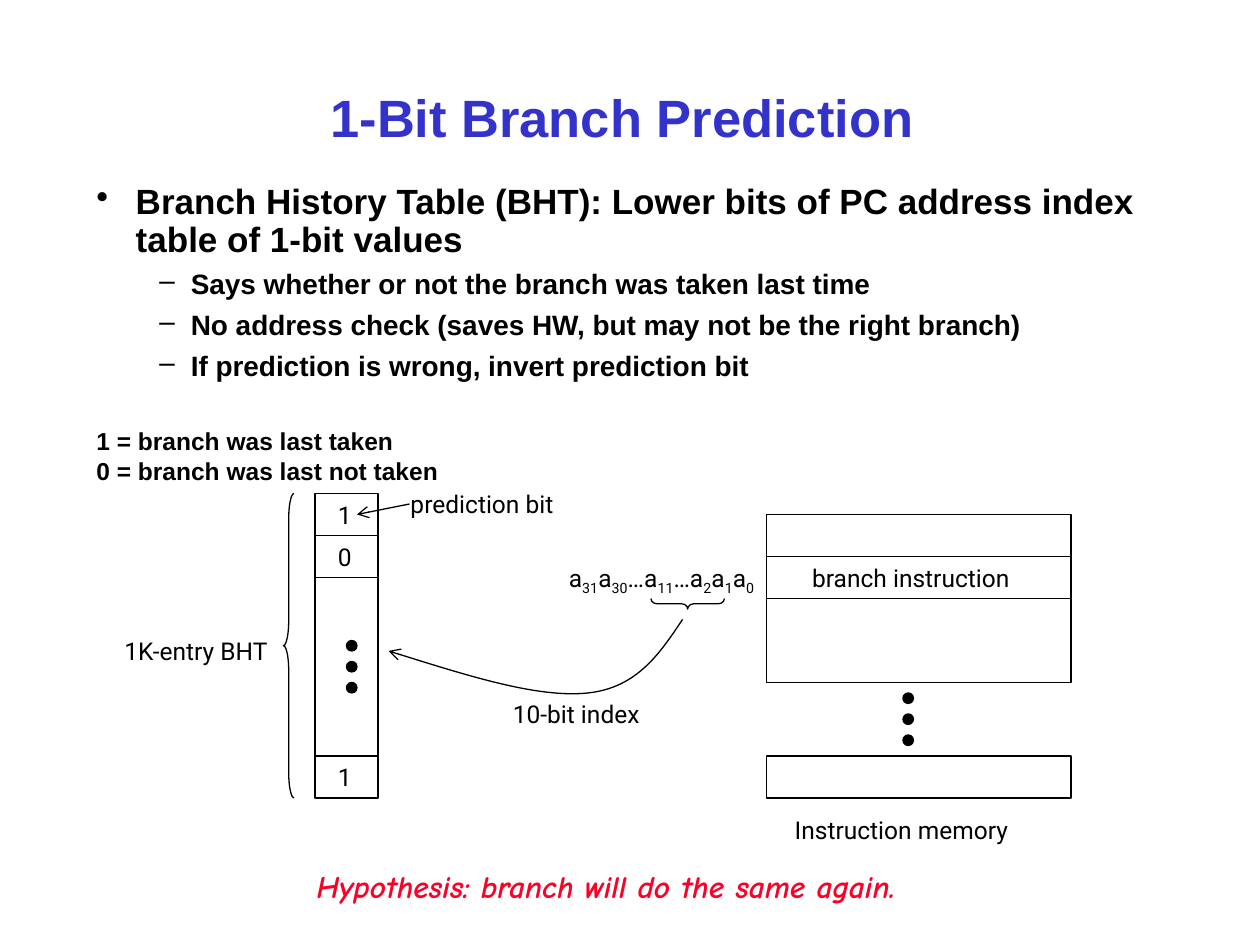
"""Build the slide on one-bit branch prediction."""
from dataclasses import dataclass

from lxml import etree
from pptx import Presentation
from pptx.dml.color import RGBColor
from pptx.enum.shapes import MSO_CONNECTOR, MSO_SHAPE
from pptx.enum.text import MSO_ANCHOR, MSO_AUTO_SIZE, PP_ALIGN
from pptx.oxml.ns import qn
from pptx.util import Pt

STRAIGHT = MSO_CONNECTOR.STRAIGHT
RECTANGLE, OVAL, LEFT_BRACE = MSO_SHAPE.RECTANGLE, MSO_SHAPE.OVAL, MSO_SHAPE.LEFT_BRACE
LEFT, CENTER = PP_ALIGN.LEFT, PP_ALIGN.CENTER
TOP, MIDDLE = MSO_ANCHOR.TOP, MSO_ANCHOR.MIDDLE
FIT_SHAPE, FIXED = MSO_AUTO_SIZE.SHAPE_TO_FIT_TEXT, MSO_AUTO_SIZE.NONE


@dataclass(frozen=True)
class Theme:
    ink: str = "000000"
    title_color: str = "3333CC"
    accent: str = "FC0128"
    heading_font: str = "Arial"
    label_font: str = "Roboto"
    note_font: str = "Comic Neue"
    title_size: float = 30
    body_size: float = 20
    note_size: float = 18
    detail_size: float = 16
    label_size: float = 14
    line_width: float = 0.75


THEME = Theme()


def write(para, text, font=THEME.label_font, size=THEME.label_size, color=THEME.ink,
          bold=False, italic=False, align=LEFT, spacing=1.0, before=0,
          level=0, margin=0, hanging=0, bullet=None):
    para.alignment, para.level = align, level
    para.line_spacing, para.space_before = spacing, Pt(before)
    props = para._p.get_or_add_pPr()
    props.set("marL", str(Pt(margin)))
    props.set("indent", str(Pt(-hanging)))
    if bullet:
        bullet_color = etree.SubElement(props, qn("a:buClr"))
        etree.SubElement(bullet_color, qn("a:srgbClr"), val=color)
        etree.SubElement(props, qn("a:buChar"), char=bullet)
    for index, part in enumerate(text.split("_")):
        span = para.add_run()
        span.text = part
        span.font.name, span.font.size = font, Pt(size)
        span.font.bold, span.font.italic = bold, italic
        span.font.color.rgb = RGBColor.from_string(color)
        if index % 2:
            span._r.get_or_add_rPr().set("baseline", "-25000")


class Painter:
    def __init__(self, page, theme):
        self.page, self.theme = page, theme

    def outline(self, item, arrow=False):
        item.line.color.rgb = RGBColor.from_string(self.theme.ink)
        item.line.width = Pt(self.theme.line_width)
        if arrow:
            etree.SubElement(item.line._get_or_add_ln(), qn("a:tailEnd"), type="arrow")

    def text(self, left, top, width, height, *lines, wrap=False, anchor=TOP,
             fit=FIT_SHAPE, **style):
        box = self.page.shapes.add_textbox(Pt(left), Pt(top), Pt(width), Pt(height))
        frame = box.text_frame
        frame.word_wrap, frame.auto_size, frame.vertical_anchor = wrap, fit, anchor
        for index, line in enumerate(lines):
            para = frame.add_paragraph() if index else frame.paragraphs[0]
            text, extra = line if isinstance(line, tuple) else (line, {})
            write(para, text, **{**style, **extra})

    def shape(self, kind, left, top, width, height, fill=None):
        item = self.page.shapes.add_shape(kind, Pt(left), Pt(top), Pt(width), Pt(height))
        item.shadow.inherit = False
        if fill:
            item.fill.solid()
            item.fill.fore_color.rgb = RGBColor.from_string(fill)
        else:
            item.fill.background()
        self.outline(item)
        return item

    def brace(self, left, top, width, height, rotation=0):
        item = self.shape(LEFT_BRACE, left, top, width, height)
        item.adjustments[0] = height / width / 12
        item.rotation = rotation

    def line(self, left, top, right, bottom, arrow=False):
        item = self.page.shapes.add_connector(STRAIGHT, Pt(left), Pt(top), Pt(right), Pt(bottom))
        self.outline(item, arrow)
        etree.SubElement(item._element.spPr, qn("a:effectLst"))

    def curve(self, start, *points):
        builder = self.page.shapes.build_freeform(Pt(start[0]), Pt(start[1]))
        builder.add_line_segments([(Pt(x), Pt(y)) for x, y in points], close=False)
        item = builder.convert_to_shape()
        item.shadow.inherit = False
        item.fill.background()
        self.outline(item, arrow=True)
        trail = item._element.spPr.find(".//" + qn("a:path"))
        for index, segment in enumerate(trail.findall(qn("a:lnTo"))):
            if index % 3 == 0:
                bezier = etree.SubElement(trail, qn("a:cubicBezTo"))
            bezier.append(segment[0])
            trail.remove(segment)

    def dots(self, left, top):
        for step in range(3):
            self.shape(OVAL, left, top + 12 * step, 6, 6, fill=self.theme.ink)


def main():
    deck = Presentation()
    deck.slide_width, deck.slide_height = Pt(720), Pt(540)
    page = deck.slides.add_slide(deck.slide_layouts[6])
    painter = Painter(page, THEME)

    heading = dict(font=THEME.heading_font, bold=True)
    painter.text(73.5, 24, 564, 90, "1-Bit Branch Prediction", wrap=True, anchor=MIDDLE,
                 fit=FIXED, size=THEME.title_size, color=THEME.title_color,
                 align=CENTER, spacing=0.9, **heading)
    detail = dict(size=THEME.detail_size, before=6, level=1, margin=54, hanging=18, bullet="–")
    painter.text(
        48, 102, 631, 120,
        ("Branch History Table (BHT): Lower bits of PC address index table of 1-bit values",
         dict(size=THEME.body_size, before=7.5, margin=22.5, hanging=22.5, bullet="•")),
        ("Says whether or not the branch was taken last time", detail),
        ("No address check (saves HW, but may not be the right branch)", detail),
        ("If prediction is wrong, invert prediction bit", detail),
        wrap=True, fit=FIXED, spacing=0.9, **heading)

    table_left, table_right, memory_left, memory_right = 180, 216, 438, 612
    painter.shape(RECTANGLE, table_left, 282, table_right - table_left, 174)
    for top, height in ((294, 96), (432, 24)):
        painter.shape(RECTANGLE, memory_left, top, memory_right - memory_left, height)
    for y in (306, 330, 432):
        painter.line(table_left, y, table_right, y)
    for y in (318, 342):
        painter.line(memory_left, y, memory_right, y)

    labels = (
        (318, 318, 126, "a_31_a_30_…a_11_…a_2_a_1_a_0"),
        (457, 318, 135.5, "branch instruction"),
        (64, 360, 101, "1K-entry BHT"),
        (286, 396, 92, "10-bit index"),
        (186, 282, 22, "1"),
        (186, 306, 22, "0"),
        (186, 432, 22, "1"),
        (227.5, 276, 102, "prediction bit"),
        (447, 462, 146, "Instruction memory"),
    )
    for left, top, width, text in labels:
        painter.text(left, top, width, 24.5, text)

    painter.brace(390, 324, 6, 42, rotation=270)
    painter.brace(162, 282, 6, 174)
    painter.curve((390, 354), (377, 373.5), (364, 393), (336, 396),
                  (308, 399), (265, 385.5), (222, 372))
    painter.line(234, 288, 204, 294, arrow=True)
    painter.dots(516, 396)
    painter.dots(198, 366)

    painter.text(173.5, 492, 345.5, 29, "Hypothesis: branch will do the same again.",
                 font=THEME.note_font, size=THEME.note_size, color=THEME.accent,
                 bold=True, italic=True, align=CENTER)
    painter.text(12, 240, 342, 41, "1 = branch was last taken", "0 = branch was last not taken",
                 wrap=True, level=1, margin=36, **heading)
    deck.save("out.pptx")


if __name__ == "__main__":
    main()
